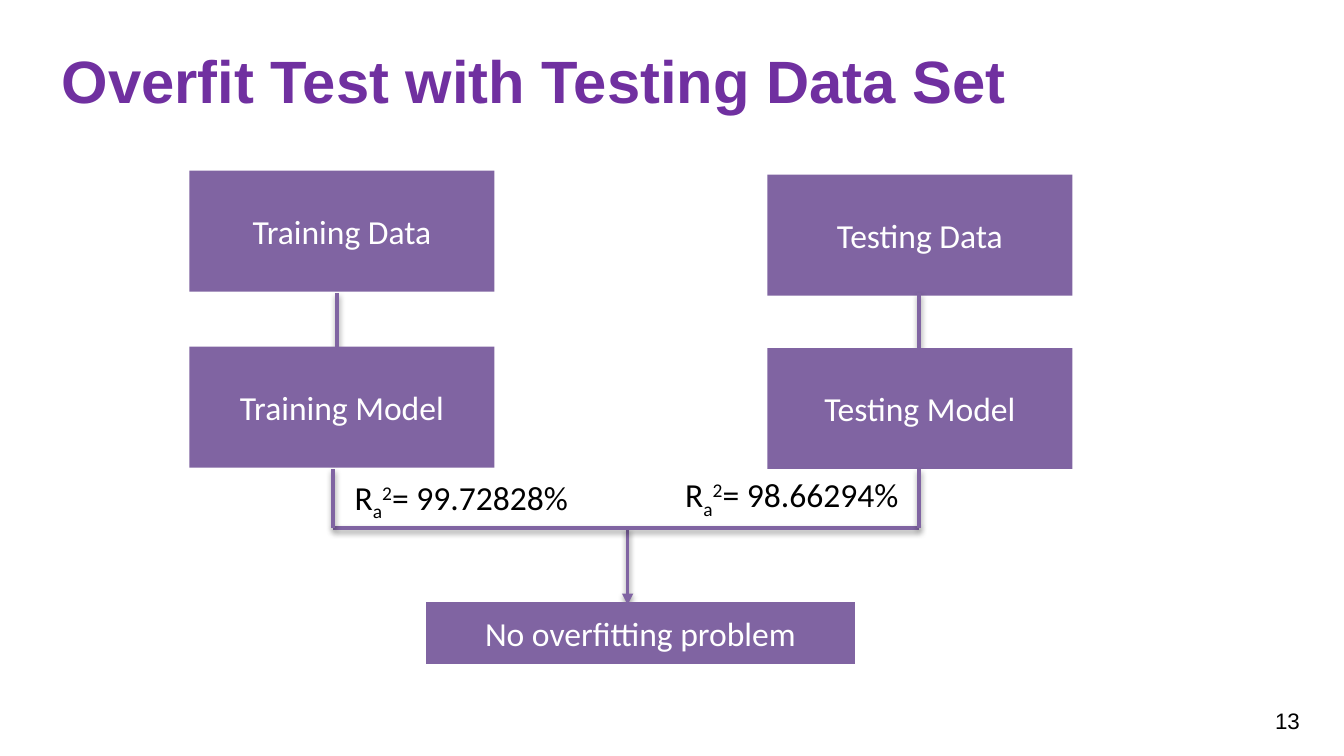
from lxml.etree import SubElement
from pptx import Presentation
from pptx.dml.color import RGBColor
from pptx.enum.shapes import MSO_CONNECTOR, MSO_SHAPE
from pptx.enum.text import MSO_ANCHOR, PP_ALIGN
from pptx.oxml import parse_xml
from pptx.oxml.ns import qn
from pptx.util import Inches, Pt

COLORS = {"title": "7030A0", "box": "8064A2", "light": "FFFFFF", "dark": "000000"}
SHADOW = (
    '<a:effectLst xmlns:a="http://schemas.openxmlformats.org/drawingml/2006/main">'
    '<a:outerShdw blurRad="40000" dist="20000" dir="5400000" rotWithShape="0">'
    '<a:srgbClr val="000000"><a:alpha val="38000"/></a:srgbClr>'
    "</a:outerShdw></a:effectLst>"
)


def rgb(name):
    """Return the palette colour with this name."""
    return RGBColor.from_string(COLORS[name])


def write(tf, *parts, size=18, font="Calibri", color="dark", bold=False,
          align=PP_ALIGN.LEFT, anchor=MSO_ANCHOR.TOP):
    """Write one paragraph of (text, baseline percent) parts."""
    tf.word_wrap = True
    tf.vertical_anchor = anchor
    p = tf.paragraphs[0]
    p.alignment = align
    for text, baseline in parts:
        r = p.add_run()
        r.text = text
        r.font.size = Pt(size)
        r.font.name = font
        r.font.bold = bold
        r.font.color.rgb = rgb(color)
        if baseline:
            r._r.get_or_add_rPr().set("baseline", str(baseline * 1000))


class FlowSlide:
    """Flow chart slide with its style."""

    def __init__(self, prs):
        """Add a title-only slide."""
        self.slide = prs.slides.add_slide(prs.slide_layouts[5])
        self.shapes = self.slide.shapes

    def title(self, text, x, y, w, h):
        """Place and format the title."""
        sp = self.shapes.title
        sp.left, sp.top, sp.width, sp.height = map(Inches, (x, y, w, h))
        write(sp.text_frame, (text, 0), size=32, font="Arial", color="title",
              bold=True, anchor=MSO_ANCHOR.MIDDLE)

    def box(self, text, x, y, w=2.27, h=0.9):
        """Add a filled box with centred text."""
        sp = self.shapes.add_shape(MSO_SHAPE.RECTANGLE, *map(Inches, (x, y, w, h)))
        sp.shadow.inherit = False
        sp.fill.solid()
        sp.fill.fore_color.rgb = rgb("box")
        sp.line.fill.background()
        write(sp.text_frame, (text, 0), color="light", align=PP_ALIGN.CENTER,
              anchor=MSO_ANCHOR.MIDDLE)

    def line(self, x1, y1, x2, y2, arrow=False):
        """Add a straight line with a soft shadow."""
        cx = self.shapes.add_connector(MSO_CONNECTOR.STRAIGHT,
                                       *map(Inches, (x1, y1, x2, y2)))
        cx.line.color.rgb = rgb("box")
        cx.line.width = Pt(2)
        if arrow:
            SubElement(cx.line._get_or_add_ln(), qn("a:tailEnd"), type="triangle")
        cx._element.spPr.append(parse_xml(SHADOW))

    def label(self, x, y, w, h, *parts, **style):
        """Add a text box."""
        sp = self.shapes.add_textbox(*map(Inches, (x, y, w, h)))
        write(sp.text_frame, *parts, **style)


def main():
    """Build the overfit test slide."""
    prs = Presentation()
    prs.slide_width = Inches(10)
    prs.slide_height = prs.slide_width * 9 // 16
    s = FlowSlide(prs)
    s.label(9.12, 5.21, 0.65, 0.3, ("13", 0), size=12, font="Arial",
            align=PP_ALIGN.RIGHT, anchor=MSO_ANCHOR.MIDDLE)
    s.title("Overfit Test with Testing Data Set", 0.36, 0.14, 7.44, 0.9)

    join_y = 3.93
    s.line(4.67, join_y, 4.67, 4.5, arrow=True)
    s.line(2.48, join_y, 6.84, join_y)
    branches = [
        ("Training", 1.41, 1.27, 2.58, 2.51, 2.48, 2.54, 3.5, "99.72828%"),
        ("Testing", 5.71, 1.3, 2.59, 6.84, 6.84, 5, 3.48, "98.66294%"),
    ]
    for name, x, data_y, model_y, link_x, drop_x, label_x, label_y, score in branches:
        s.box(f"{name} Data", x, data_y)
        s.line(link_x, 2.18, link_x, 2.62)
        s.box(f"{name} Model", x, model_y)
        s.line(drop_x, 3.49, drop_x, join_y)
        s.label(label_x, label_y, 1.86, 0.4,
                ("R", 0), ("a", -25), ("2", 30), (f"= {score}", 0))
    s.box("No overfitting problem", 3.17, 4.48, 3.19, 0.46)
    prs.save("out.pptx")


if __name__ == "__main__":
    main()
